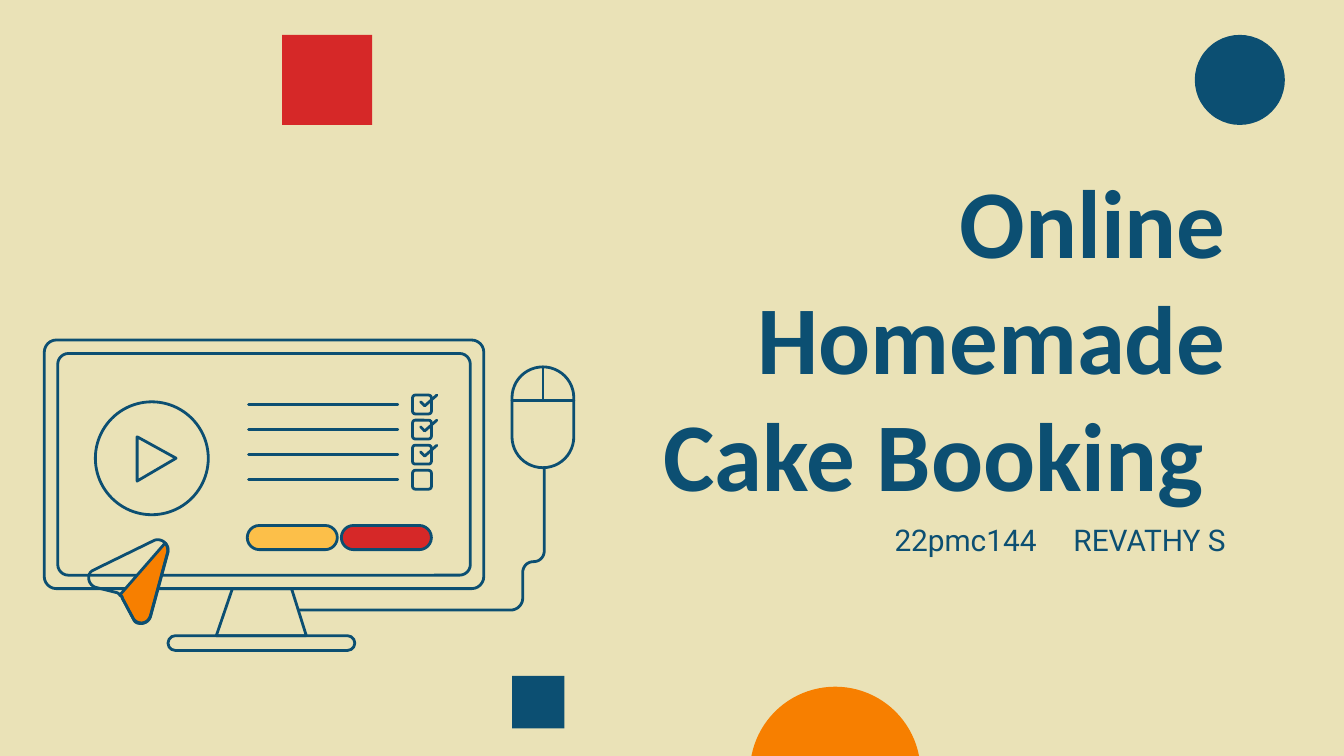
from dataclasses import dataclass
from typing import NamedTuple, Optional

from lxml.etree import SubElement
from pptx import Presentation
from pptx.dml.color import RGBColor as RGB
from pptx.enum.shapes import MSO_CONNECTOR as Connector, MSO_SHAPE as Preset
from pptx.enum.text import MSO_ANCHOR as Anchor, PP_ALIGN as Align
from pptx.oxml.ns import qn
from pptx.util import Inches, Pt


@dataclass(frozen=True)
class Theme:
    cream: RGB = RGB(0xEA, 0xE2, 0xB7)
    navy: RGB = RGB(0x0C, 0x4F, 0x72)
    red: RGB = RGB(0xD6, 0x28, 0x28)
    orange: RGB = RGB(0xF7, 0x7F, 0x00)
    yellow: RGB = RGB(0xFC, 0xBF, 0x49)
    title_font: str = "Calibri"
    title_size: int = 52
    body_font: str = "Roboto"
    body_size: int = 16
    stroke: float = 1.5


THEME = Theme()


class Box(NamedTuple):
    left: float
    top: float
    width: float
    height: float


class Part(NamedTuple):
    preset: Preset
    box: Box
    fill: Optional[RGB] = None
    radius: Optional[float] = None


def style_stroke(shape) -> None:
    """Navy stroke with round caps and joins."""
    shape.line.color.rgb = THEME.navy
    shape.line.width = Pt(THEME.stroke)
    ln = shape.element.spPr.find(qn("a:ln"))
    ln.set("cap", "rnd")
    SubElement(ln, qn("a:round"))


def paint(shape, fill: Optional[RGB], outlined: bool) -> None:
    shape.shadow.inherit = False
    if fill is None:
        shape.fill.background()
    else:
        shape.fill.solid()
        shape.fill.fore_color.rgb = fill
    if outlined:
        style_stroke(shape)
    else:
        shape.line.fill.background()


def draw_part(shapes, part: Part, outlined: bool = True) -> None:
    shape = shapes.add_shape(part.preset, *map(Inches, part.box))
    if part.radius is not None:
        shape.adjustments[0] = part.radius / min(part.box.width, part.box.height)
    paint(shape, part.fill, outlined)


def draw_line(shapes, x1: float, y1: float, x2: float, y2: float) -> None:
    line = shapes.add_connector(Connector.STRAIGHT, *map(Inches, (x1, y1, x2, y2)))
    style_stroke(line)
    SubElement(line.element.spPr, qn("a:effectLst"))


def curve(start: tuple, c1: tuple, c2: tuple, end: tuple, steps: int = 10) -> list:
    """Points along a cubic curve, without its start."""
    points = []
    for step in range(1, steps + 1):
        t = step / steps
        weights = ((1 - t) ** 3, 3 * t * (1 - t) ** 2, 3 * t * t * (1 - t), t ** 3)
        points.append(tuple(sum(w * v for w, v in zip(weights, axis))
                            for axis in zip(start, c1, c2, end)))
    return points


def draw_path(shapes, start: tuple, *segments: tuple, close: bool = False,
              fill: Optional[RGB] = None) -> None:
    """Each segment is (x, y) for a line or six numbers for a curve."""
    points = [start]
    for seg in segments:
        if len(seg) == 2:
            points.append(seg)
        else:
            points += curve(points[-1], seg[:2], seg[2:4], seg[4:])
    emu = [(Inches(x), Inches(y)) for x, y in points]
    builder = shapes.build_freeform(*emu[0])
    builder.add_line_segments(emu[1:], close=close)
    paint(builder.convert_to_shape(), fill, True)


def add_text(slide, text: str, box: Box, *, font: str, size: int,
             bold: bool = False, anchor: Anchor = Anchor.MIDDLE) -> None:
    frame = slide.shapes.add_textbox(*map(Inches, box)).text_frame
    frame.word_wrap = True
    frame.vertical_anchor = anchor
    frame.margin_left = frame.margin_right = Inches(0.1)
    frame.margin_top = frame.margin_bottom = Inches(0.1)
    paragraph = frame.paragraphs[0]
    paragraph.alignment = Align.RIGHT
    run = paragraph.add_run()
    run.text = text
    run.font.name, run.font.size, run.font.bold = font, Pt(size), bold
    run.font.color.rgb = THEME.navy


def draw_monitor(shapes) -> None:
    # Stand, screen and frame
    draw_path(shapes, (2.28, 4.73), (2.17, 4.38), (1.73, 4.38), (1.61, 4.73), close=True)
    draw_part(shapes, Part(Preset.ROUNDED_RECTANGLE, Box(0.43, 2.63, 3.07, 1.65), radius=0.08))
    draw_part(shapes, Part(Preset.ROUNDED_RECTANGLE, Box(0.33, 2.53, 3.27, 1.85), radius=0.09))

    # Checklist: four rows from 2.94 to 3.5, the first three ticked
    for row in range(4):
        top = 2.94 + row * 0.56 / 3
        draw_part(shapes, Part(Preset.ROUNDED_RECTANGLE, Box(3.07, top, 0.14, 0.14), radius=0.02))
        draw_line(shapes, 2.96, top + 0.07, 1.85, top + 0.07)
        if row < 3:
            draw_path(shapes, (3.13, top + 0.05), (3.16, top + 0.08), (3.25, top))

    # Paper plane: orange wing, then outline
    draw_path(shapes, (1.23, 4.04), (1.24, 4.05, 1.25, 4.08, 1.25, 4.11), (1.12, 4.59),
              (1.11, 4.62, 1.08, 4.64, 1.05, 4.64), (1.02, 4.64, 1, 4.63, 0.99, 4.6),
              (0.91, 4.45), (0.91, 4.44, 0.9, 4.43, 0.89, 4.43),
              close=True, fill=THEME.orange)
    draw_path(shapes, (0.7, 4.24), (1.15, 4.02), (1.2, 4, 1.26, 4.05, 1.25, 4.1),
              (1.12, 4.58), (1.1, 4.65, 1.02, 4.65, 0.99, 4.6), (0.91, 4.45),
              (0.91, 4.44, 0.9, 4.43, 0.89, 4.42), (0.88, 4.42, 0.88, 4.41, 0.87, 4.41),
              (0.71, 4.37), (0.65, 4.35, 0.64, 4.26, 0.7, 4.24), close=True)

    # Play button
    draw_part(shapes, Part(Preset.OVAL, Box(0.71, 2.99, 0.84, 0.84)))
    draw_path(shapes, (1.31, 3.41), (1.02, 3.25), (1.02, 3.58), close=True)

    # Pill buttons and foot
    for left, fill in ((2.54, THEME.red), (1.84, THEME.yellow)):
        draw_part(shapes, Part(Preset.ROUNDED_RECTANGLE, Box(left, 3.91, 0.67, 0.18), fill, 0.09))
    draw_part(shapes, Part(Preset.ROUNDED_RECTANGLE, Box(1.25, 4.73, 1.39, 0.11), radius=0.06))


def draw_mouse(shapes) -> None:
    # Body and button seams
    draw_part(shapes, Part(Preset.ROUNDED_RECTANGLE, Box(3.81, 2.73, 0.46, 0.75), radius=0.23))
    draw_line(shapes, 4.27, 2.98, 3.81, 2.98)
    draw_line(shapes, 4.04, 2.73, 4.04, 2.97)
    # Cable
    draw_path(shapes, (4.05, 3.48), (4.05, 4.1), (4.05, 4.14, 4.02, 4.18, 3.97, 4.18),
              (3.92, 4.18, 3.89, 4.22, 3.89, 4.26), (3.89, 4.45),
              (3.89, 4.5, 3.85, 4.54, 3.8, 4.54), (2.22, 4.54))


DECORATIONS = (
    Part(Preset.OVAL, Box(5.58, 5.11, 1.27, 1.27), THEME.orange),
    Part(Preset.RECTANGLE, Box(2.1, 0.26, 0.67, 0.67), THEME.red),
    Part(Preset.RECTANGLE, Box(3.81, 5.03, 0.39, 0.39), THEME.navy),
    Part(Preset.OVAL, Box(8.89, 0.26, 0.67, 0.67), THEME.navy),
)


def main() -> None:
    # Widescreen 16:9 slide
    deck = Presentation()
    deck.slide_width = Inches(10)
    deck.slide_height = Inches(10 * 9 / 16)
    slide = deck.slides.add_slide(deck.slide_layouts[6])
    slide.background.fill.solid()
    slide.background.fill.fore_color.rgb = THEME.cream

    for decoration in DECORATIONS:
        draw_part(slide.shapes, decoration, outlined=False)

    # Title and author
    add_text(slide, "Online Homemade Cake Booking ", Box(4.25, 1.08, 4.97, 2.82),
             font=THEME.title_font, size=THEME.title_size, bold=True, anchor=Anchor.BOTTOM)
    add_text(slide, "22pmc144     REVATHY S", Box(4.25, 3.78, 4.97, 0.47),
             font=THEME.body_font, size=THEME.body_size)

    # Computer illustration
    computer = slide.shapes.add_group_shape().shapes
    draw_monitor(computer)
    draw_mouse(computer)

    deck.save("out.pptx")


if __name__ == "__main__":
    main()
